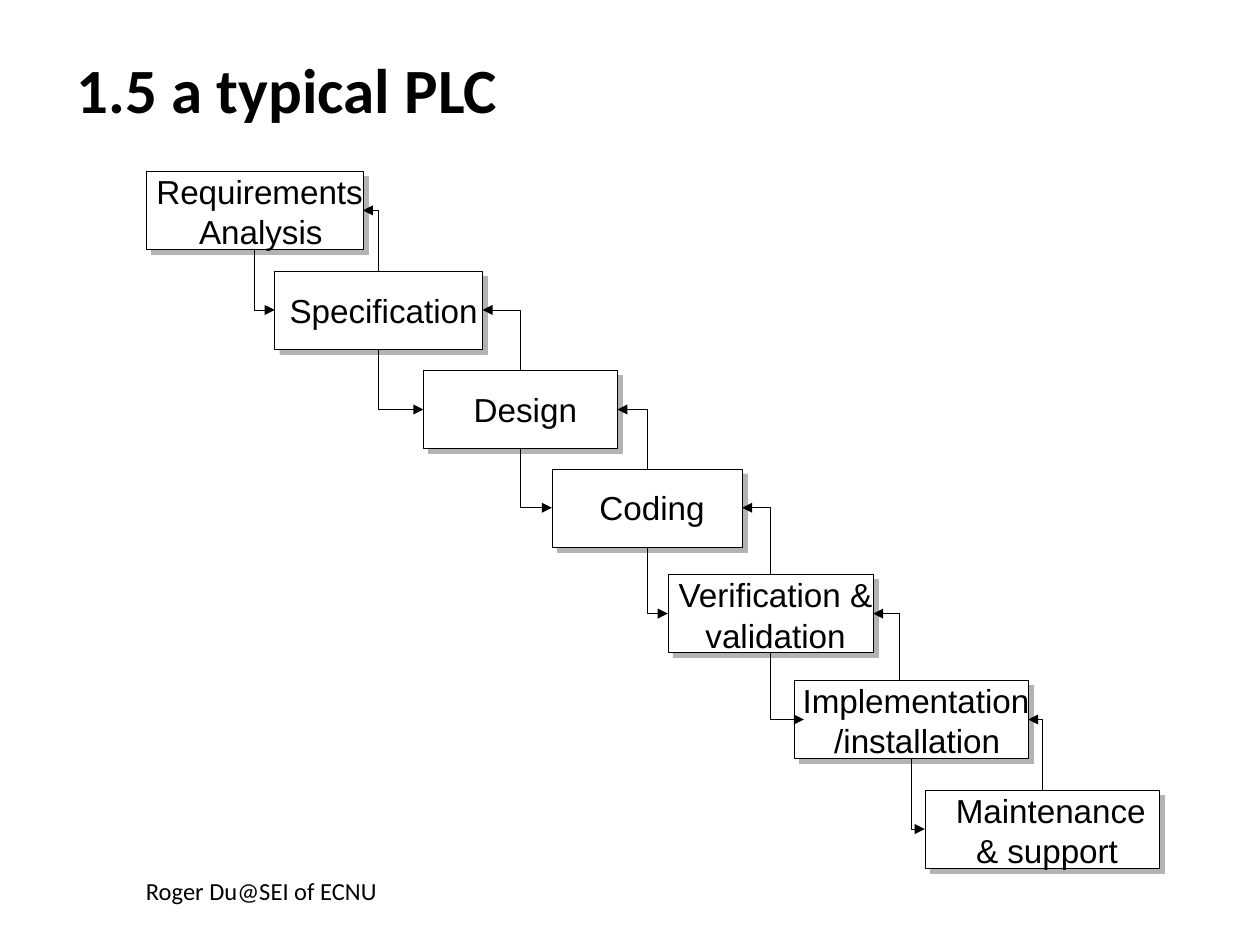
from pptx import Presentation
from pptx.dml.color import RGBColor
from pptx.enum.shapes import MSO_SHAPE
from pptx.enum.text import MSO_ANCHOR, MSO_AUTO_SIZE, PP_ALIGN
from pptx.util import Inches, Pt

BLACK = RGBColor(0x00, 0x00, 0x00)
WHITE = RGBColor(0xFF, 0xFF, 0xFF)
GREY = RGBColor(0xB3, 0xB3, 0xB3)

STEP_H = 0.62
LINE_H = 0.32
HEAD = 0.08  # arrowhead length and width
HAIRLINE = Pt(0.25)

# left, top, width, lines as (text, text width, shift from the box centre)
STEPS = [
    (1.16, 1.36, 1.72, [("Requirements", 1.68, 0.04), ("Analysis", 1.02, 0.05)]),
    (2.18, 2.15, 1.65, [("Specification", 1.53, 0.04)]),
    (3.36, 2.94, 1.54, [("Design", 0.86, 0.04)]),
    (4.38, 3.72, 1.51, [("Coding", 0.88, 0.04)]),
    (5.30, 4.56, 1.63, [("Verification &", 1.59, 0.04), ("validation", 1.15, 0.04)]),
    (6.30, 5.40, 1.86, [("Implementation", 1.84, 0.04), ("/installation", 1.36, 0.05)]),
    (7.34, 6.27, 1.86, [("Maintenance", 1.56, 0.07), ("& support", 1.17, 0.04)]),
]
# Arrows into and out of a step that leave the common rule, by step index
TIP_INSET = {5: HEAD}
FEEDBACK_SHIFT = {5: -0.09}


def add_run(p, text, size, font, bold=False):
    r = p.add_run()
    r.text = text
    r.font.size = Pt(size)
    r.font.name = font
    r.font.bold = bold
    r.font.color.rgb = BLACK


def add_title(s, x, y, w, h):
    sp = s.shapes.title
    sp.left, sp.top, sp.width, sp.height = (Inches(v) for v in (x, y, w, h))
    tf = sp.text_frame
    tf.auto_size = MSO_AUTO_SIZE.NONE
    tf.vertical_anchor = MSO_ANCHOR.MIDDLE
    p = tf.paragraphs[0]
    p.alignment = PP_ALIGN.LEFT
    add_run(p, "1.5 a typical PLC", 36, "Calibri", True)


def add_footer(s, x, y, w, h):
    tf = s.shapes.add_textbox(Inches(x), Inches(y), Inches(w), Inches(h)).text_frame
    tf.word_wrap = True
    p = tf.paragraphs[0]
    p.alignment = PP_ALIGN.CENTER
    add_run(p, "Roger Du@SEI of ECNU", 14, "Calibri")


def add_rect(s, x, y, w, h, fill, line):
    sp = s.shapes.add_shape(MSO_SHAPE.RECTANGLE, Inches(x), Inches(y), Inches(w), Inches(h))
    sp.shadow.inherit = False
    sp.fill.solid()
    sp.fill.fore_color.rgb = fill
    sp.line.color.rgb = line
    sp.line.width = HAIRLINE


def add_step(s, x, y, w, h, lines):
    add_rect(s, x + 0.04, y + 0.04, w, h, GREY, GREY)
    add_rect(s, x, y, w, h, WHITE, BLACK)
    first = y if len(lines) > 1 else y + (h - LINE_H) / 2
    for i, (text, text_w, shift) in enumerate(lines):
        left = x + w / 2 + shift - text_w / 2
        box = s.shapes.add_textbox(Inches(left), Inches(first + i * LINE_H),
                                   Inches(text_w), Inches(LINE_H))
        tf = box.text_frame
        tf.margin_left = tf.margin_right = tf.margin_top = tf.margin_bottom = 0
        tf.word_wrap = False
        tf.auto_size = MSO_AUTO_SIZE.SHAPE_TO_FIT_TEXT
        p = tf.paragraphs[0]
        p.alignment = PP_ALIGN.CENTER
        add_run(p, text, 19, "Arial")


def add_outline(s, points, close):
    pts = [(Inches(x), Inches(y)) for x, y in points]
    fb = s.shapes.build_freeform(*pts[0], scale=1.0)
    fb.add_line_segments(pts[1:], close=close)
    sp = fb.convert_to_shape()
    sp.shadow.inherit = False
    return sp


def add_elbow(s, x, start_y, tip_x, y):
    """Vertical from (x, start_y) to y, then across to an arrowhead at tip_x."""
    back = -HEAD if tip_x > x else HEAD
    shaft = add_outline(s, [(x, start_y), (x, y), (tip_x + back * 0.9, y)], False)
    shaft.fill.background()
    shaft.line.color.rgb = BLACK
    shaft.line.width = HAIRLINE
    head = add_outline(s, [(tip_x + back, y - HEAD / 2), (tip_x, y),
                           (tip_x + back, y + HEAD / 2)], True)
    head.fill.solid()
    head.fill.fore_color.rgb = BLACK
    head.line.fill.background()


def add_staircase(s, steps):
    for x, y, w, lines in steps:
        add_step(s, x, y, w, STEP_H, lines)
    # Forward arrow down to the next step, feedback arrow up to the one before
    for i, (upper, lower) in enumerate(zip(steps, steps[1:]), start=1):
        ux, uy, uw, _ = upper
        lx, ly, lw, _ = lower
        add_elbow(s, ux + uw / 2, uy + STEP_H, lx + TIP_INSET.get(i, 0), ly + STEP_H / 2)
        add_elbow(s, lx + lw / 2 + FEEDBACK_SHIFT.get(i, 0), ly, ux + uw, uy + STEP_H / 2)


def main():
    prs = Presentation()
    prs.slide_width, prs.slide_height = Inches(10), Inches(7.5)
    s = prs.slides.add_slide(prs.slide_layouts[5])
    add_footer(s, 0.49, 6.9, 3.17, 0.37)
    add_title(s, 0.51, 0.28, 9, 0.85)
    add_staircase(s, STEPS)
    prs.save("out.pptx")


if __name__ == "__main__":
    main()
